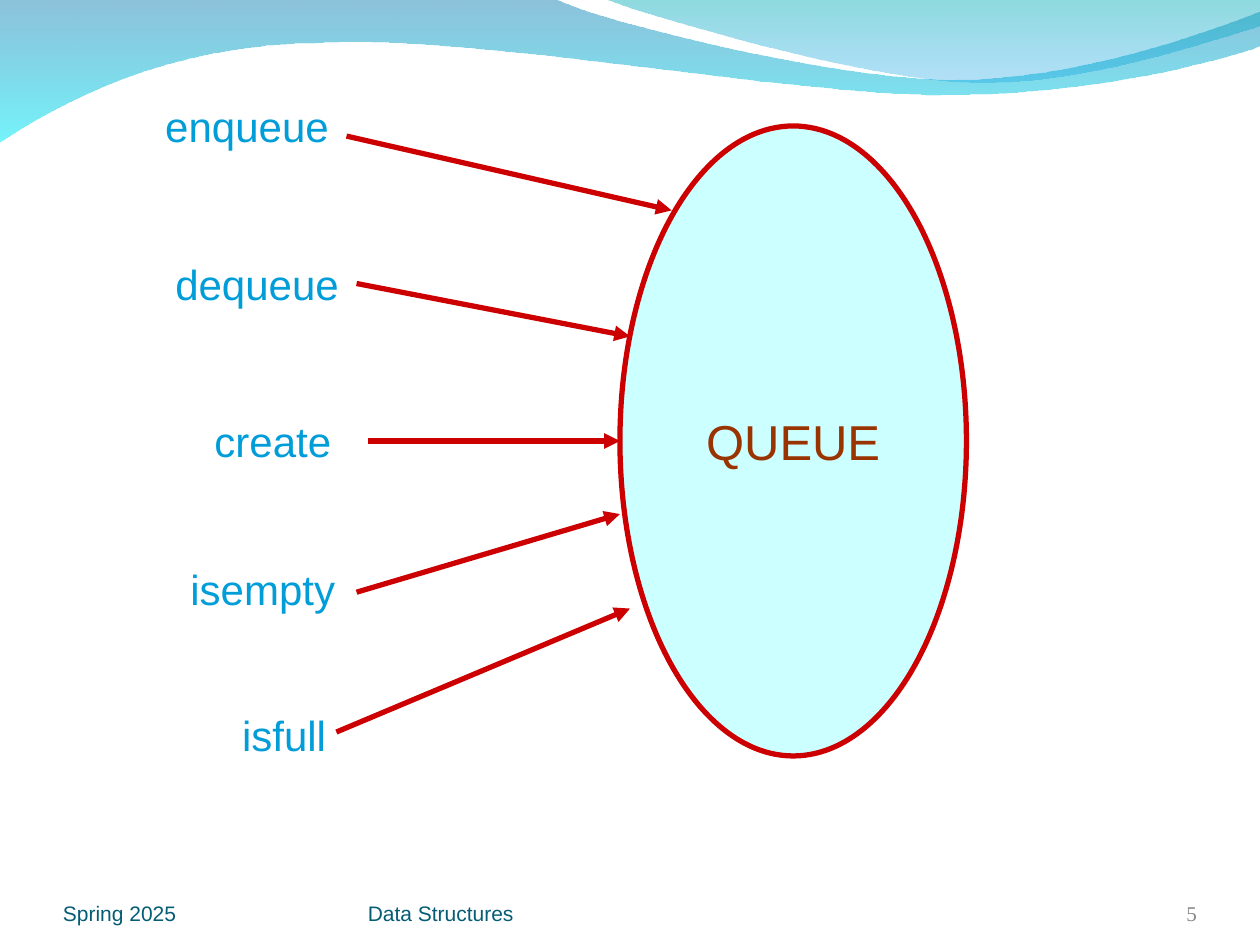
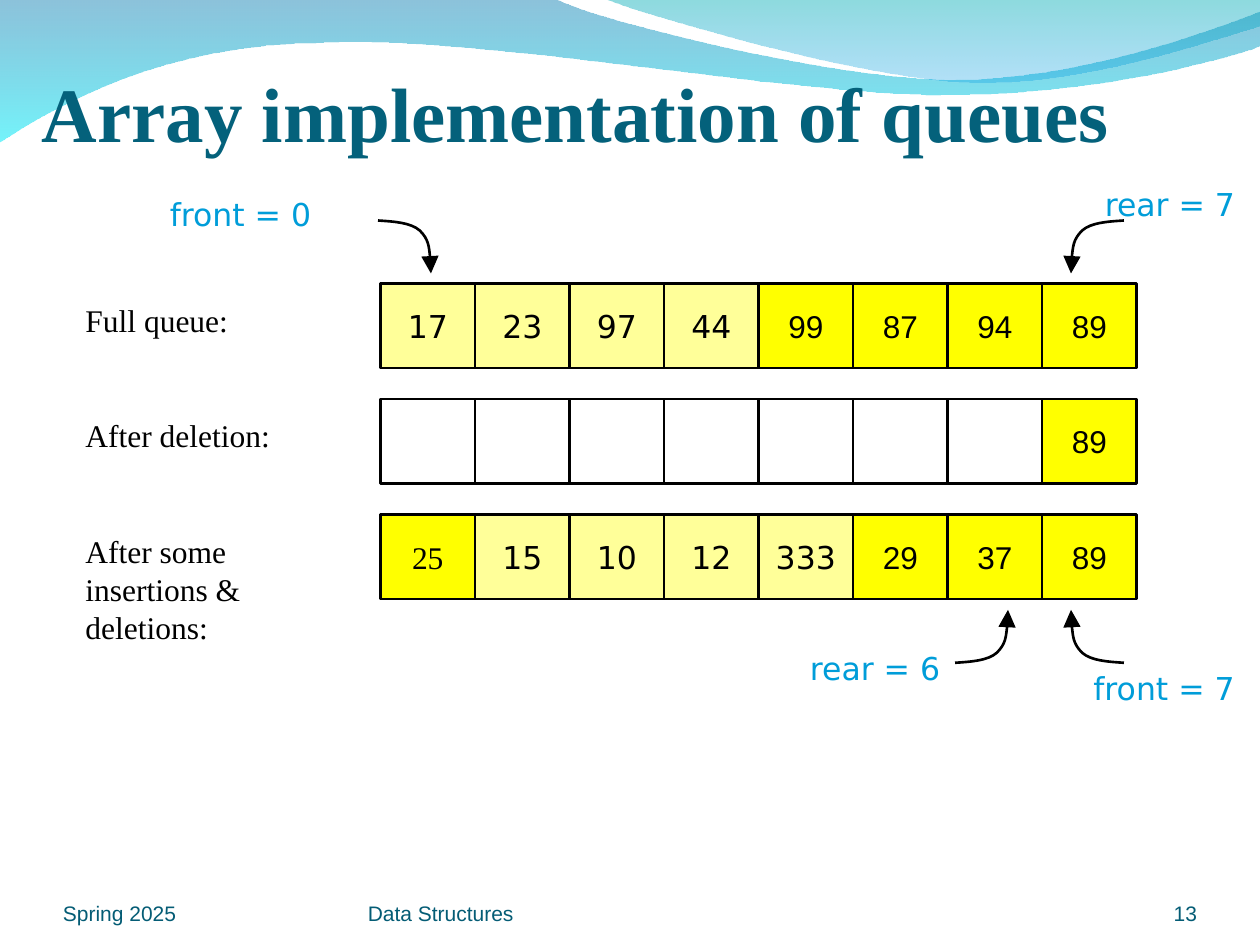
from lxml.etree import SubElement
from pptx import Presentation
from pptx.dml.color import RGBColor
from pptx.enum.shapes import MSO_CONNECTOR as Link, MSO_SHAPE as Shape
from pptx.enum.text import MSO_ANCHOR as Anchor, PP_ALIGN as Align
from pptx.oxml.ns import qn
from pptx.util import Inches, Pt

WHITE = RGBColor(0xFF, 0xFF, 0xFF)
BLACK = RGBColor(0x00, 0x00, 0x00)
RED = RGBColor(0xCC, 0x00, 0x00)
BROWN = RGBColor(0x99, 0x33, 0x00)
ICE = RGBColor(0xCC, 0xFF, 0xFF)
LIGHT = RGBColor(0xFF, 0xFF, 0x99)
YELLOW = RGBColor(0xFF, 0xFF, 0x00)
BLUE = RGBColor(0x00, 0x9D, 0xD9)
TEAL = RGBColor(0x04, 0x61, 0x7B)
DARK = RGBColor(0x04, 0x5C, 0x75)
GRAY = RGBColor(0x89, 0x89, 0x89)

SANS, ROMAN, MONO = "Arial", "Times New Roman", "DejaVu Sans"
INSETS = (0.1, 0.05, 0.1, 0.05)

# A step of two numbers is a line, a step of six is a cubic curve.
WAVES = (
    ((0, -0.01),
     ((4.4, -0.01), (4.76, 0.17, 6.64, 0.63, 7.58, 0.63),
      (8.53, 0.63, 9.58, 0.26, 10, 0.09), (10.01, 0.36),
      (9.83, 0.44, 8.7, 0.76, 7.46, 0.75),
      (6.22, 0.75, 3.82, 0.28, 2.57, 0.34),
      (1.29, 0.35, 0.46, 0.83, -0.01, 1.13), (0, -0.01)),
     ((RGBColor(0x00, 0x79, 0xAF), 45), (RGBColor(0x00, 0xEB, 0xF8), 55))),
    ((4.79, -0.01),
     ((5.09, 0.11, 6.82, 0.62, 7.69, 0.65),
      (8.56, 0.69, 9.61, 0.32, 10, 0.21), (10, 0), (4.79, -0.01)),
     ((RGBColor(0x00, 0xAD, 0xB6), 45), (RGBColor(0x00, 0x9B, 0xE5), 30))),
)

# Name, left, top and width of the label, then both ends of its arrow.
CALLS = (
    ("enqueue", 1.17, 0.75, 1.58, (2.75, 1.08), (5.33, 1.67)),
    ("dequeue", 1.25, 2, 1.58, (2.83, 2.25), (5, 2.67)),
    ("create", 1.5, 3.25, 1.33, (2.92, 3.5), (4.92, 3.5)),
    ("isempty", 1.25, 4.42, 1.67, (2.83, 4.7), (4.92, 4.08)),
    ("isfull", 1.42, 5.58, 1.67, (2.67, 5.81), (5, 4.83)),
)

EMPTY, CLEAR = (WHITE, SANS), (None, SANS)
PALE, FULL, FIRST = (LIGHT, MONO), (YELLOW, SANS), (YELLOW, ROMAN)
ROWS = (
    ("Full queue:", 0.4,
     ((PALE, (17, 23, 97, 44)), (FULL, (99, 87, 94, 89)))),
    ("After deletion:", 0.4,
     ((EMPTY, ("",) * 5), (CLEAR, ("",) * 2), (FULL, (89,)))),
    ("After some insertions & deletions:", 1,
     ((FIRST, (25,)), (PALE, (15, 10, 12, 333)), (FULL, (29, 37, 89)))),
)
LEFT, TOP, STEP = 3.02, 2.25, 11 / 12
CELL_W, CELL_H = 0.75, 0.67

# Label with its place, then start and reach of its hooked arrow.
MARKS = (
    ("front = 0", (1.25, 1.5), (3, 1.75), (0.42, 0.42)),
    ("rear = 7", (8.67, 1.42), (8.92, 1.75), (-0.42, 0.42)),
    ("rear = 6", (6.33, 5.1), (7.58, 5.26), (0.42, -0.42)),
    ("front = 7", (8.58, 5.26), (8.92, 5.26), (-0.42, -0.42)),
)


def write(shape, text, size, font, color, align=Align.LEFT, anchor=Anchor.TOP,
          insets=INSETS, wrap=True, bold=False):
    frame = shape.text_frame
    frame.word_wrap, frame.vertical_anchor = wrap, anchor
    (frame.margin_left, frame.margin_top,
     frame.margin_right, frame.margin_bottom) = map(Inches, insets)
    para = frame.paragraphs[0]
    para.text, para.alignment = text, align
    para.font.size, para.font.name, para.font.bold = Pt(size), font, bold
    para.font.color.rgb = color


def label(slide, box, text, size, font, color, **style):
    write(slide.shapes.add_textbox(*map(Inches, box)), text, size, font, color, **style)


def block(slide, kind, box, fill, color, width):
    shape = slide.shapes.add_shape(kind, *map(Inches, box))
    shape.shadow.inherit = False
    if fill is None:
        shape.fill.background()
    else:
        shape.fill.solid()
        shape.fill.fore_color.rgb = fill
    shape.line.color.rgb, shape.line.width = color, Pt(width)
    return shape


def outline(slide, start, steps, close):
    """Draw a freeform through the step ends, then bend its curved steps."""
    pen = slide.shapes.build_freeform(*map(Inches, start))
    pen.add_line_segments([tuple(map(Inches, step[-2:])) for step in steps], close=close)
    shape = pen.convert_to_shape()
    shape.shadow.inherit = False
    for node, step in zip(list(shape.element.iter(qn("a:lnTo"))), steps):
        if len(step) == 6:
            node.tag = qn("a:cubicBezTo")
            for i in (0, 2):
                knot = SubElement(node, qn("a:pt"), x=str(Inches(step[i]) - shape.left),
                                  y=str(Inches(step[i + 1]) - shape.top))
                node.insert(i // 2, knot)
    return shape


def wave(slide, start, steps, stops):
    """Draw a band with a see-through gradient from top to bottom."""
    shape = outline(slide, start, steps, True)
    shape.line.fill.background()
    shape.fill.gradient()
    shape.fill.gradient_angle = 270
    for stop, place, (color, _) in zip(shape.fill.gradient_stops, (0, 1), stops):
        stop.position, stop.color.rgb = place, color
    for node, (_, alpha) in zip(shape.element.iter(qn("a:srgbClr")), stops):
        SubElement(node, qn("a:alpha"), val=str(alpha * 1000))


def point(shape, color, width, size):
    """Style a line and put a triangle at its end."""
    shape.line.color.rgb, shape.line.width = color, Pt(width)
    line = shape.element.spPr.find(qn("a:ln"))
    SubElement(line, qn("a:tailEnd"), type="triangle", w=size, len=size)


def arrow(slide, start, end):
    line = slide.shapes.add_connector(Link.STRAIGHT, *map(Inches, start + end))
    point(line, RED, 3, "med")
    SubElement(line.element.spPr, qn("a:effectLst"))


def hook(slide, start, reach):
    """Draw an arrow that leaves sideways and turns up or down."""
    (x, y), (dx, dy) = start, reach
    curves = ((0.31, 0.02, 0.62, 0.04, 0.79, 0.19), (0.96, 0.36, 1, 0.68, 1, 1))
    steps = [tuple(y + dy * v if i % 2 else x + dx * v for i, v in enumerate(curve))
             for curve in curves]
    shape = outline(slide, start, steps, False)
    shape.fill.background()
    point(shape, BLACK, 1.5, "lg")


def new_slide(deck, number, font, color):
    slide = deck.slides.add_slide(deck.slide_layouts[6])
    for start, steps, stops in WAVES:
        wave(slide, start, steps, stops)
    feet = (
        (0.5, 2.33, "Spring 2025", SANS, DARK, Align.LEFT),
        (2.92, 3.67, "Data Structures", SANS, DARK, Align.LEFT),
        (8.67, 0.83, number, font, color, Align.RIGHT),
    )
    for left, width, text, face, tint, align in feet:
        label(slide, (left, 6.95, width, 0.4), text, 12, face, tint,
              align=align, anchor=Anchor.BOTTOM, insets=(0, 0, 0, 0))
    return slide


def row(slide, top, caption, height, runs):
    cells = [(style, value) for style, values in runs for value in values]
    for i, ((fill, font), value) in enumerate(cells):
        box = (LEFT + i * CELL_W, top, CELL_W, CELL_H)
        cell = block(slide, Shape.RECTANGLE, box, fill, BLACK, 1.5)
        if value:
            write(cell, str(value), 18, font, BLACK, align=Align.CENTER,
                  anchor=Anchor.MIDDLE, wrap=False)
    label(slide, (0.58, top + 0.09, 2.25, height), caption, 18, ROMAN, BLACK)


def add_calls(deck):
    slide = new_slide(deck, "5", ROMAN, GRAY)
    queue = block(slide, Shape.OVAL, (4.92, 1, 2.75, 5), ICE, RED, 3)
    write(queue, "QUEUE", 28, SANS, BROWN, align=Align.CENTER,
          anchor=Anchor.MIDDLE, wrap=False)
    for name, left, top, width, start, end in CALLS:
        label(slide, (left, top, width, 0.5), name, 24, SANS, BLUE, align=Align.CENTER)
        arrow(slide, start, end)


def add_array(deck):
    slide = new_slide(deck, "13", SANS, DARK)
    label(slide, (0.33, 0.45, 9.52, 0.8), "Array implementation of queues", 44, ROMAN,
          TEAL, align=Align.JUSTIFY, anchor=Anchor.BOTTOM, insets=(0, 0.05, 0, 0),
          bold=True)
    for i, (caption, height, runs) in enumerate(ROWS):
        row(slide, TOP + i * STEP, caption, height, runs)
    for text, place, start, reach in MARKS:
        label(slide, place + (1.83, 0.4), text, 18, MONO, BLUE)
        hook(slide, start, reach)


def main():
    deck = Presentation()
    deck.slide_width, deck.slide_height = Inches(10), Inches(7.5)
    add_calls(deck)
    add_array(deck)
    deck.save("out.pptx")


if __name__ == "__main__":
    main()
